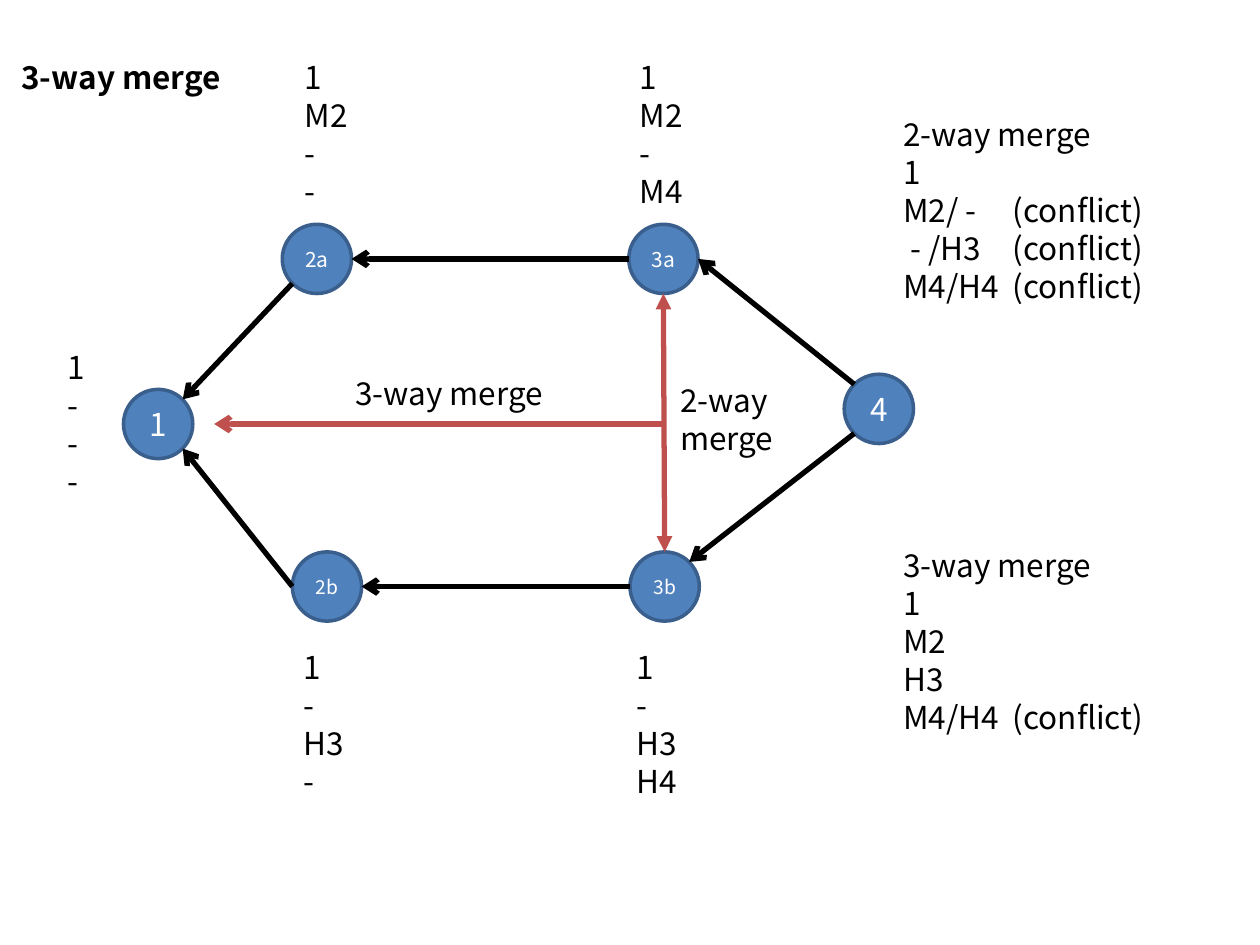
from collections import namedtuple

from lxml.etree import SubElement
from pptx import Presentation
from pptx.dml.color import RGBColor
from pptx.enum.shapes import MSO_CONNECTOR as Connector, MSO_SHAPE as Preset
from pptx.enum.text import MSO_ANCHOR as Anchor, MSO_AUTO_SIZE as AutoSize, PP_ALIGN as Align
from pptx.oxml.ns import qn
from pptx.util import Inches, Pt

COLORS = {"text": "000000", "node": "4F81BD", "rim": "3A5F8C",
          "label": "FFFFFF", "history": "000000", "merge": "C0504D"}
FONT = "Noto Sans CJK KR"
CELL = Inches(0.1)  # the slide is a grid of 100 columns by 75 rows
NODE = 5.5
DIAGONAL = 0.71
DIRECTIONS = {"N": (0, -1), "S": (0, 1), "W": (-1, 0), "E": (1, 0),
              "NW": (-DIAGONAL, -DIAGONAL), "NE": (DIAGONAL, -DIAGONAL),
              "SW": (-DIAGONAL, DIAGONAL), "SE": (DIAGONAL, DIAGONAL)}
Box = namedtuple("Box", "col row cols rows")


def emu(*cells):
    return [round(cell * CELL) for cell in cells]


def color(name):
    return RGBColor.from_string(COLORS[name])


def format_text(paragraph, size, color_name, bold=False):
    for run in paragraph.runs:
        run.font.name = FONT
        run.font.size = Pt(size)
        run.font.bold = bold
        run.font.color.rgb = color(color_name)


def add_lines(slide, box, lines, tab=None):
    """Place one paragraph per line, with an optional tab stop in columns."""
    frame = slide.shapes.add_textbox(*emu(*box)).text_frame
    frame.word_wrap = True
    frame.auto_size = AutoSize.SHAPE_TO_FIT_TEXT
    for index, line in enumerate(lines):
        paragraph = frame.add_paragraph() if index else frame.paragraphs[0]
        paragraph.text = line
        paragraph.line_spacing = Pt(21.7)
        format_text(paragraph, 18, "text")
        if tab:
            stops = SubElement(paragraph._p.get_or_add_pPr(), qn("a:tabLst"))
            SubElement(stops, qn("a:tab"), pos=str(emu(tab)[0]), algn="l")


def add_title(slide, box, wording):
    title = slide.shapes.title
    title.left, title.top, title.width, title.height = emu(*box)
    frame = title.text_frame
    frame.text = wording
    frame.word_wrap = True
    frame.auto_size = AutoSize.NONE
    frame.vertical_anchor = Anchor.TOP
    paragraph = frame.paragraphs[0]
    paragraph.alignment = Align.LEFT
    paragraph.line_spacing = Pt(21.7)
    format_text(paragraph, 18, "text", bold=True)


def add_node(slide, col, row, label, size):
    node = slide.shapes.add_shape(Preset.OVAL, *emu(col, row, NODE, NODE))
    node.shadow.inherit = False
    node.fill.solid()
    node.fill.fore_color.rgb = color("node")
    node.line.color.rgb = color("rim")
    node.line.width = Pt(2)
    frame = node.text_frame
    frame.margin_left = frame.margin_right = 0
    frame.vertical_anchor = Anchor.MIDDLE
    frame.text = label
    frame.paragraphs[0].alignment = Align.CENTER
    format_text(frame.paragraphs[0], size, "label")
    return node


def add_arrow(slide, start, end, color_name, tail="arrow", head=None):
    arrow = slide.shapes.add_connector(Connector.STRAIGHT, *emu(*start, *end))
    arrow.line.color.rgb = color(color_name)
    arrow.line.width = Pt(3)
    outline = arrow.line._get_or_add_ln()
    if head:
        SubElement(outline, qn("a:headEnd"), type=head)
    SubElement(outline, qn("a:tailEnd"), type=tail)
    SubElement(arrow._element.spPr, qn("a:effectLst"))
    return arrow


def add_commit_graph(slide, box):
    commits = {"1": (0, 13.1, 18), "2a": (12.6, 0, 12), "3a": (40.1, 0, 12),
               "2b": (13.4, 26, 11), "3b": (40.2, 26, 11), "4": (57.2, 11.9, 18)}
    parents = [("3a", "W", "2a", "E"), ("2a", "SW", "1", "NE"),
               ("2b", "W", "1", "SE"), ("3b", "W", "2b", "E"),
               ("4", "NW", "3a", "E"), ("4", "SW", "3b", "NE")]

    def rim(commit, direction):
        col, row, _ = commits[commit]
        dx, dy = DIRECTIONS[direction]
        radius = NODE / 2
        return (box.col + col + radius * (1 + dx),
                box.row + row + radius * (1 + dy))

    nodes = {label: add_node(slide, box.col + col, box.row + row, label, size)
             for label, (col, row, size) in commits.items()}
    for child, leaving, parent, entering in parents:
        add_arrow(slide, rim(child, leaving), rim(parent, entering), "history")

    base_col, base_row = rim("1", "E")
    add_arrow(slide, (rim("3b", "N")[0], base_row), (base_col + 1.7, base_row), "merge")
    two_way = add_arrow(slide, rim("3b", "N"), rim("3a", "S"), "merge",
                        tail="triangle", head="triangle")
    two_way.begin_connect(nodes["3b"], 0)
    add_lines(slide, Box(box.col + 17.4, box.row + 11.4, 17.3, 4), ["3-way merge"])
    add_lines(slide, Box(box.col + 43.2, box.row + 11.9, 17.3, 7.1), ["2-way\vmerge"])


def add_file_states(slide, box):
    """Place the file contents beside each commit."""
    states = [(0, 23, "1 - - -"), (18.8, 0, "1 M2 - -"), (45.4, 0, "1 M2 - M4"),
              (18.7, 46.8, "1 - H3 -"), (45.1, 46.8, "1 - H3 H4")]
    for col, row, content in states:
        add_lines(slide, Box(box.col + col, box.row + row, 5.8, 13.1), content.split())


def add_results(slide, box):
    two_way = ["2-way merge", "1", "M2/ -\t(conflict)", " - /H3\t(conflict)",
               "M4/H4\t(conflict)"]
    three_way = ["3-way merge", "1", "M2", "H3", "M4/H4\t(conflict)"]
    height = 16.2
    for row, lines in ((box.row, two_way), (box.row + box.rows - height, three_way)):
        add_lines(slide, Box(box.col, row, box.cols, height), lines, tab=8.7)


def main():
    deck = Presentation()
    deck.slide_width, deck.slide_height = emu(100, 75)
    slide = deck.slides.add_slide(deck.slide_layouts[5])
    add_title(slide, Box(0.7, 4.1, 26, 4), "3-way merge")
    add_commit_graph(slide, Box(9.8, 17.8, 62.7, 31.5))
    add_file_states(slide, Box(4.4, 4.1, 51.2, 59.9))
    add_results(slide, Box(70.7, 8.6, 26, 50.4))
    deck.save("out.pptx")


if __name__ == "__main__":
    main()
